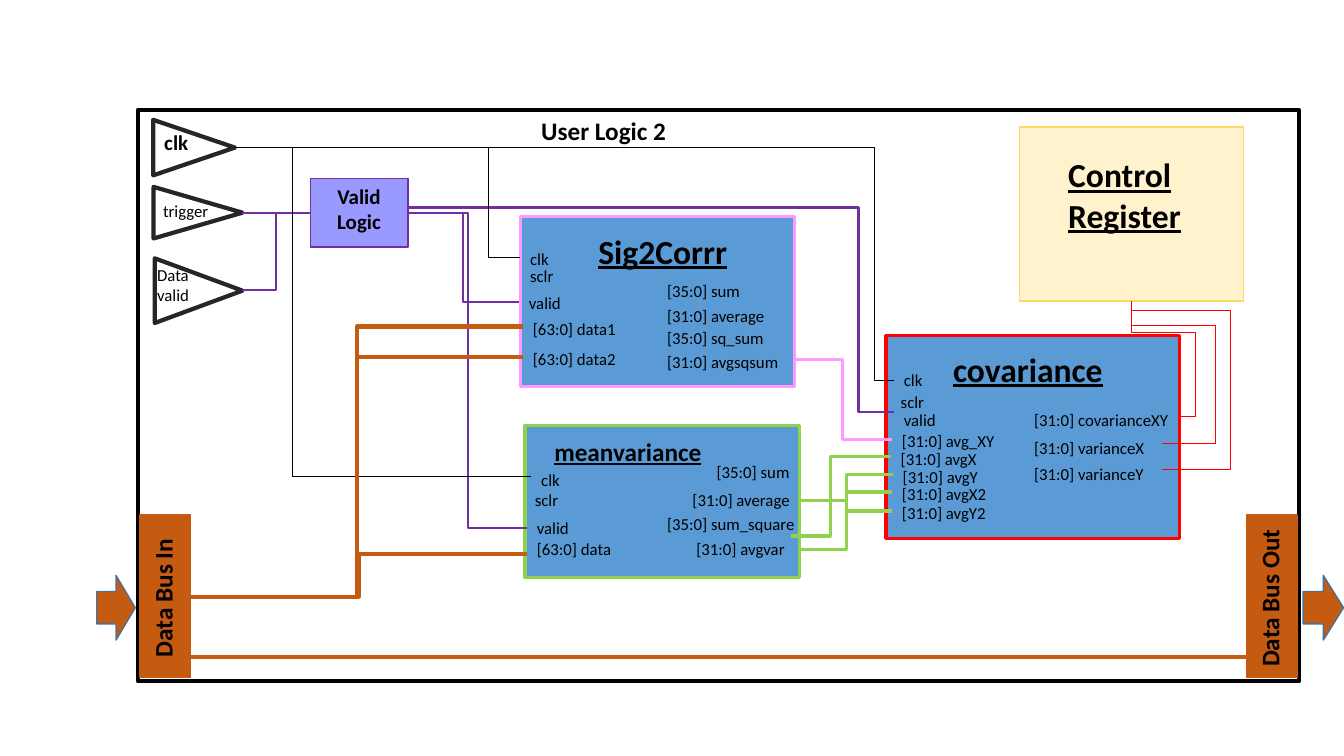
from lxml import etree
from pptx import Presentation
from pptx.dml.color import RGBColor
from pptx.enum.shapes import MSO_CONNECTOR, MSO_SHAPE
from pptx.enum.text import MSO_AUTO_SIZE, PP_ALIGN
from pptx.oxml.ns import qn
from pptx.util import Cm, Pt

RECT = MSO_SHAPE.RECTANGLE
TRIANGLE = MSO_SHAPE.ISOSCELES_TRIANGLE
ARROW = MSO_SHAPE.RIGHT_ARROW
ELBOW, STRAIGHT = MSO_CONNECTOR.ELBOW, MSO_CONNECTOR.STRAIGHT
LEFT, CENTER = PP_ALIGN.LEFT, PP_ALIGN.CENTER
GROW = MSO_AUTO_SIZE.SHAPE_TO_FIT_TEXT

FONT = "Calibri"
BLACK, BLUE, GREEN, PINK = "000000", "5B9BD5", "92D050", "FF99FF"
RED, PURPLE, ORANGE = "FF0000", "7030A0", "C55A11"
PORT_H = 0.66

# Block: box, border, title, title box, title size, ports as (name, left, top, width)
BLOCKS = [
    ((13.23, 10.72, 6.93, 3.84), GREEN, "meanvariance", (13.72, 10.87, 6.07, 0.84), 18, [
        ("clk", 13.39, 11.71, 1.73),
        ("sclr", 13.23, 12.22, 1.73),
        ("[63:0] data", 13.28, 13.46, 2.59),
        ("valid", 13.28, 12.93, 1.8),
        ("[35:0] sum", 17.81, 11.51, 2.54),
        ("[31:0] average", 17.2, 12.22, 3.07),
        ("[35:0] sum_square", 16.56, 12.83, 3.81),
        ("[31:0] avgvar", 17.3, 13.46, 2.87),
    ]),
    ((13.11, 5.46, 6.91, 4.29), PINK, "Sig2Corrr", (14.83, 5.69, 4.01, 0.79), 24, [
        ("clk", 13.11, 6.15, 1.47),
        ("sclr", 13.11, 6.58, 2.49),
        ("valid", 13.08, 7.24, 2.03),
        ("[63:0] data1", 13.18, 7.9, 2.84),
        ("[63:0] data2", 13.18, 8.66, 3.2),
        ("[35:0] sum", 16.56, 6.96, 3.1),
        ("[31:0] average", 16.56, 7.59, 3.2),
        ("[35:0] sq_sum", 16.56, 8.13, 3.02),
        ("[31:0] avgsqsum", 16.56, 8.74, 3.45),
    ]),
    ((22.33, 8.46, 7.39, 5.11), RED, "covariance", (23.77, 8.66, 4.34, 0.99), 24, [
        ("clk", 22.53, 9.19, 1.42),
        ("sclr", 22.45, 9.75, 1.9),
        ("valid", 22.53, 10.19, 1.9),
        ("[31:0] avg_XY", 22.48, 10.74, 3.02),
        ("[31:0] covarianceXY", 25.81, 10.19, 3.96),
        ("[31:0] varianceX", 25.81, 10.9, 3.48),
        ("[31:0] varianceY", 25.81, 11.56, 3.48),
        ("[31:0] avgX", 22.45, 11.18, 3.05),
        ("[31:0] avgY", 22.5, 11.63, 3),
        ("[31:0] avgX2", 22.48, 12.07, 3.02),
        ("[31:0] avgY2", 22.48, 12.55, 3.02),
    ]),
]

# Input: triangle box before rotation, lines of text, text box, size, bold
INPUTS = [
    ((4.19, 2.69, 1.4, 2.06), ["clk"], (3.89, 3.15, 1.78, 0.89), 15, True),
    ((4.34, 4.24, 1.3, 2.24), ["trigger"], (3.86, 4.93, 1.78, 0.76), 12, False),
    ((4.19, 6.22, 1.63, 2.21), ["Data", "valid"], (3.71, 6.55, 2.13, 1.09), 12, False),
]

# Signals: colour, width, wires as (start, end, x of the bend[, y of the second bend])
CLK, VALID, DATA_IN = (5.92, 3.71), (10.29, 5.36), (4.8, 15.04)
AVGVAR, CONTROL = (20.17, 13.84), (28.52, 7.59)
SIGNALS = [
    (GREEN, 2.25, [
        ((20.17, 12.62), (22.5, 11.96), 21.34),
        (AVGVAR, (22.48, 12.4), 21.34),
        ((19.94, 13.51), (22.45, 11.51), 20.93),
        (AVGVAR, (22.48, 12.88), 21.34),
    ]),
    (PINK, 2.25, [((20.02, 9.07), (22.48, 11.07), 21.23)]),
    (PURPLE, 1.5, [
        ((6.1, 5.36), (7.82, 5.36)),
        (VALID, (13.08, 7.62), 11.68),
        (VALID, (13.28, 13.31), 11.79),
        ((10.29, 5.23), (22.53, 10.39), 21.64),
        ((6.1, 7.32), (7.82, 5.36), 6.96),
    ]),
    (BLACK, 0.5, [
        (CLK, (13.11, 6.48), 12.32),
        (CLK, (22.53, 9.58), 22.05),
        (CLK, (13.39, 12.01), 7.37),
    ]),
    (ORANGE, 3, [
        (DATA_IN, (13.18, 8.23), 8.99),
        (DATA_IN, (13.28, 13.97), 9.04),
        (DATA_IN, (13.18, 8.99), 8.99),
        ((4.8, 16.56), (31.45, 16.56)),
    ]),
    (RED, 0.5, [
        ((29.77, 10.49), CONTROL, 30.12, 8.38),
        ((29.29, 11.18), CONTROL, 30.63, 8.2),
        ((29.29, 11.84), CONTROL, 31.01, 7.82),
    ]),
]


def rgb(color):
    return RGBColor.from_string(color)


def add_box(s, kind, box, fill, line, width=1, rotation=0):
    sp = s.shapes.add_shape(kind, *map(Cm, box))
    sp.shadow.inherit = False
    sp.rotation = rotation
    if fill:
        sp.fill.solid()
        sp.fill.fore_color.rgb = rgb(fill)
    else:
        sp.fill.background()
    sp.line.color.rgb = rgb(line)
    sp.line.width = Pt(width)


def add_text(s, lines, box, size=12, bold=False, underline=False, align=LEFT, rotation=0):
    sp = s.shapes.add_textbox(*map(Cm, box))
    sp.rotation = rotation
    tf = sp.text_frame
    tf.word_wrap = True
    tf.auto_size = GROW
    for i, line in enumerate(lines):
        p = tf.add_paragraph() if i else tf.paragraphs[0]
        p.alignment = align
        r = p.add_run()
        r.text = line
        r.font.name = FONT
        r.font.size = Pt(size)
        r.font.bold = bold
        r.font.underline = underline
        r.font.color.rgb = rgb(BLACK)


def add_wire(s, color, width, start, end, bend_x=None, bend_y=None):
    """Draw a straight wire, or one that turns at bend_x and then at bend_y."""
    kind = STRAIGHT if bend_x is None else ELBOW
    sp = s.shapes.add_connector(kind, *map(Cm, start + end))
    sp.line.color.rgb = rgb(color)
    sp.line.width = Pt(width)
    sppr = sp._element.spPr
    etree.SubElement(sppr, qn("a:effectLst"))
    geom = sppr.find(qn("a:prstGeom"))
    guides = geom.find(qn("a:avLst"))
    if guides is None:
        guides = etree.SubElement(geom, qn("a:avLst"))
    if bend_y is not None:
        geom.set("prst", "bentConnector4")
    for i, bend in enumerate((bend_x, bend_y)):
        if bend is not None:
            share = (bend - start[i]) / (end[i] - start[i])
            etree.SubElement(guides, qn("a:gd"), name=f"adj{i + 1}",
                             fmla=f"val {round(share * 100000)}")


def add_block(s, box, border, title, title_box, size, ports):
    add_box(s, RECT, box, BLUE, border, 2.25)
    add_text(s, [title], title_box, size, bold=True, underline=True)
    for name, left, top, width in ports:
        add_text(s, [name], (left, top, width, PORT_H))


def add_bus(s, name, left, text_box, arrow_left, arrow_width):
    add_box(s, RECT, (left, 12.98, 1.27, 4.09), ORANGE, ORANGE)
    add_text(s, [name], text_box, 18, bold=True, rotation=270)
    add_box(s, ARROW, (arrow_left, 14.5, arrow_width, 1.63), ORANGE, "43739E")


def main():
    prs = Presentation()
    prs.slide_width, prs.slide_height = Cm(33.87), Cm(19.05)
    s = prs.slides.add_slide(prs.slide_layouts[6])

    for block in BLOCKS:
        add_block(s, *block)
    add_box(s, RECT, (3.48, 2.77, 29.26, 14.4), None, BLACK, 3)
    add_text(s, ["User Logic 2"], (13.39, 2.77, 4.42, 1.02), 18, bold=True)

    for triangle, lines, text_box, size, bold in INPUTS:
        add_box(s, TRIANGLE, triangle, None, "262626", 3, rotation=90)
        add_text(s, lines, text_box, size, bold)

    add_box(s, RECT, (7.82, 4.5, 2.46, 1.73), "9999FF", PURPLE)
    add_text(s, ["Valid Logic"], (7.82, 4.5, 2.46, 1.96), 15, bold=True, align=CENTER)
    add_box(s, RECT, (25.7, 3.2, 5.64, 4.39), "FFF2CC", "FFD966")
    add_text(s, ["Control Register"], (26.67, 3.76, 3.68, 2.31), 24, bold=True, underline=True)

    add_bus(s, "Data Bus In", 3.53, (2.13, 14.33, 3.94, 1.02), 2.44, 0.97)
    add_bus(s, "Data Bus Out", 31.42, (29.9, 14.45, 4.19, 1.02), 32.84, 1.02)

    for color, width, wires in SIGNALS:
        for wire in wires:
            add_wire(s, color, width, *wire)

    prs.save("out.pptx")


if __name__ == "__main__":
    main()
